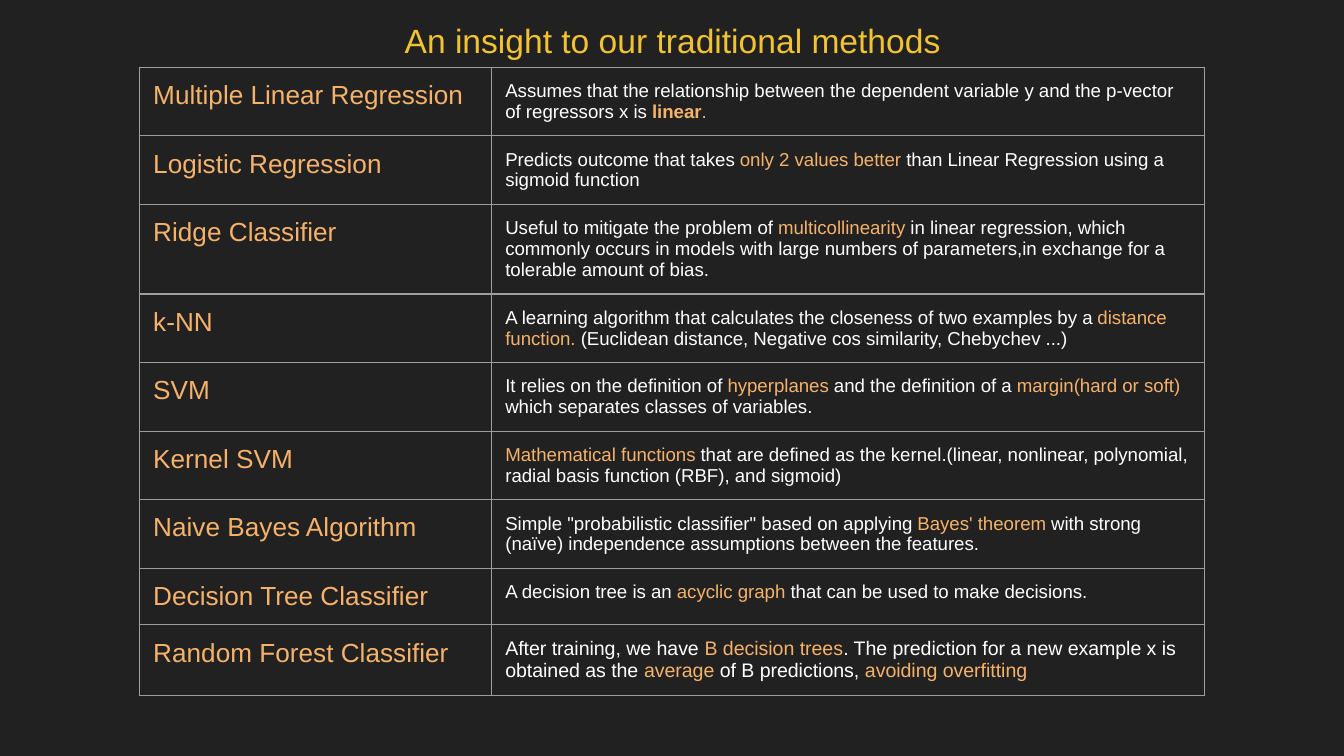
"""Build a slide with a table that explains traditional machine learning methods."""
from lxml import etree
from pptx import Presentation
from pptx.dml.color import RGBColor
from pptx.enum.text import PP_ALIGN
from pptx.oxml.ns import qn
from pptx.util import Inches, Pt

BACKGROUND, WHITE, ORANGE, YELLOW, GRAY = "212121", "FFFFFF", "F6B26B", "F1C232", "9E9E9E"
TITLE = "An insight to our traditional methods"
HIGHLIGHT = "|"
METHODS = [
    ("Multiple Linear Regression",
     "Assumes that the relationship between the dependent variable y and the p-vector "
     "of regressors x is |linear||.|"),
    ("Logistic Regression",
     "Predicts outcome that takes |only 2 values better |than Linear Regression using a "
     "sigmoid function"),
    ("Ridge Classifier",
     "Useful to mitigate the problem of |multicollinearity| in linear regression, which "
     "commonly occurs in models with large numbers of parameters,in exchange for a "
     "tolerable amount of bias."),
    ("k-NN",
     "A learning algorithm that calculates the closeness of two examples by a |distance "
     "function. |(Euclidean distance, Negative cos similarity, Chebychev ...)"),
    ("SVM",
     "It relies on the definition of |hyperplanes| and the definition of a "
     "|margin(hard or soft)| which separates classes of variables."),
    ("Kernel SVM",
     "|Mathematical functions| that are defined as the kernel.(linear, nonlinear, "
     "polynomial, radial basis function (RBF), and sigmoid)"),
    ("Naive Bayes Algorithm",
     "Simple \"probabilistic classifier\" based on applying |Bayes' theorem| with strong "
     "(naïve) independence assumptions between the features."),
    ("Decision Tree Classifier",
     "A decision tree is an |acyclic graph| that can be used to make decisions."),
    ("Random Forest Classifier",
     "After training, we have |B decision trees|. The prediction for a new example x is "
     "obtained as the |average| of B predictions,| avoiding overfitting|"),
]
BOLD_WORDS = {"linear"}
LARGER_TEXT = {"Random Forest Classifier": 10.5}
COLUMN_WIDTHS = (2.62, 5.3)
ROW_HEIGHT = 0.42


def color(value):
    return RGBColor.from_string(value)


def write(paragraph, text, size, plain, accent=ORANGE):
    paragraph.font.name = "Arial"
    paragraph.font.size = Pt(size)
    for index, piece in enumerate(text.split(HIGHLIGHT)):
        if piece:
            span = paragraph.add_run()
            span.text = piece
            span.font.name = "Arial"
            span.font.size = Pt(size)
            span.font.bold = piece in BOLD_WORDS
            span.font.color.rgb = color(accent if index % 2 else plain)


def set_margins(target):
    for side in ("left", "right", "top", "bottom"):
        setattr(target, f"margin_{side}", Inches(0.1))


def set_borders(cell):
    properties = cell._tc.get_or_add_tcPr()
    for position, side in enumerate(("a:lnL", "a:lnR", "a:lnT", "a:lnB")):
        line = etree.Element(qn(side), w=str(Pt(0.75)))
        fill = etree.SubElement(line, qn("a:solidFill"))
        etree.SubElement(fill, qn("a:srgbClr"), val=GRAY)
        properties.insert(position, line)


deck = Presentation()
deck.slide_width = Inches(10)
deck.slide_height = deck.slide_width * 9 // 16
page = deck.slides.add_slide(deck.slide_layouts[6])
page.background.fill.solid()
page.background.fill.fore_color.rgb = color(BACKGROUND)

table = page.shapes.add_table(
    len(METHODS), len(COLUMN_WIDTHS), Inches(1.04), Inches(0.5),
    Inches(sum(COLUMN_WIDTHS)), Inches(ROW_HEIGHT * len(METHODS))).table
table.first_row = table.horz_banding = False
for column, width in zip(table.columns, COLUMN_WIDTHS):
    column.width = Inches(width)
for row, (method, description) in zip(table.rows, METHODS):
    row.height = Inches(ROW_HEIGHT)
    contents = ((method, 14, ORANGE), (description, LARGER_TEXT.get(method, 10), WHITE))
    for cell, (text, size, plain) in zip(row.cells, contents):
        cell.fill.background()
        set_margins(cell)
        set_borders(cell)
        write(cell.text_frame.paragraphs[0], text, size, plain)

title = page.shapes.add_textbox(Inches(1.61), Inches(0.05), Inches(6.79), Inches(0.34))
title.text_frame.word_wrap = True
set_margins(title.text_frame)
heading = title.text_frame.paragraphs[0]
heading.alignment = PP_ALIGN.CENTER
write(heading, TITLE, 18, YELLOW)

deck.save("out.pptx")
